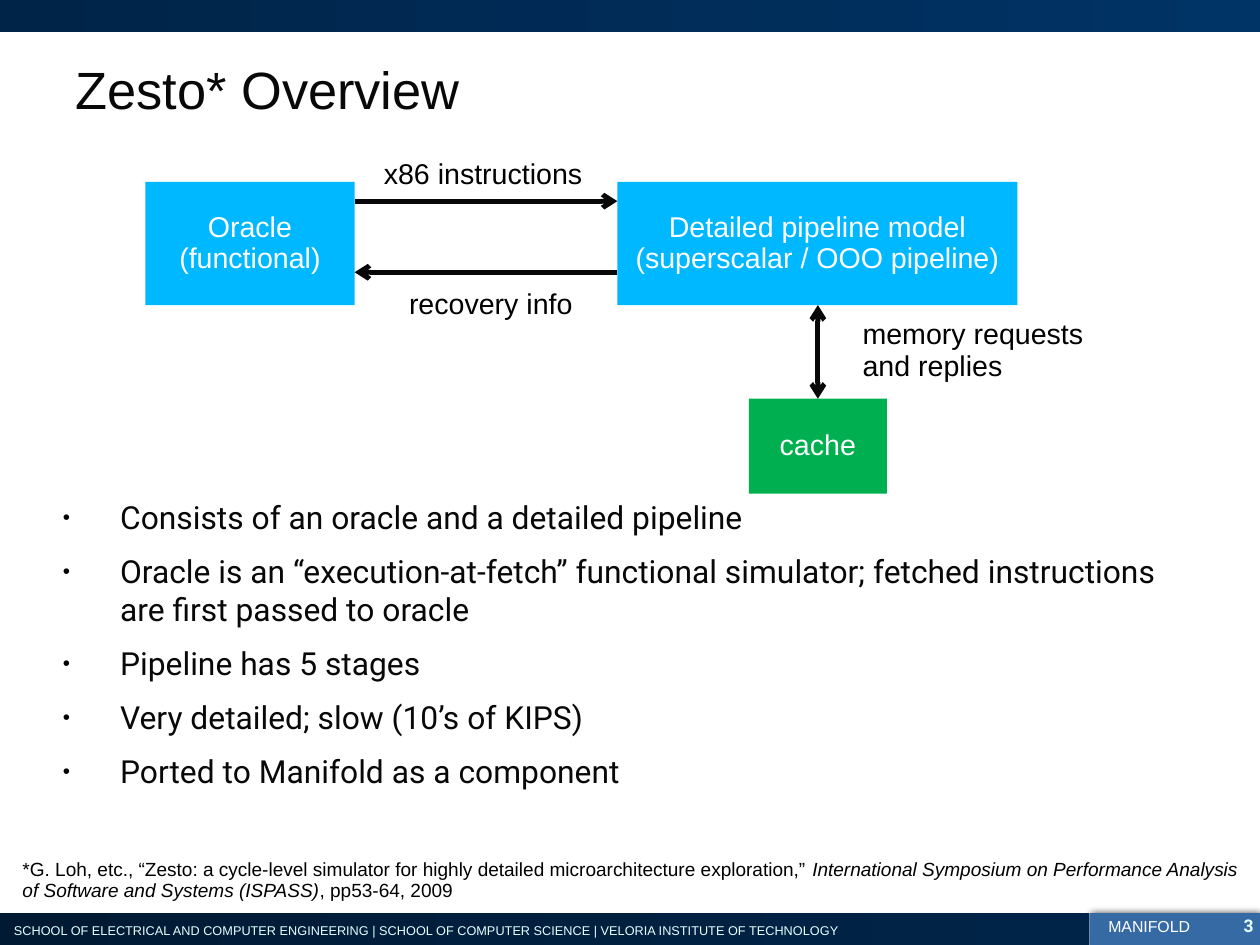
from lxml.etree import SubElement
from pptx import Presentation
from pptx.dml.color import RGBColor
from pptx.enum.shapes import MSO_CONNECTOR, MSO_SHAPE
from pptx.enum.text import MSO_ANCHOR, PP_ALIGN
from pptx.oxml.ns import qn
from pptx.util import Cm, Pt

# Content
TITLE = "Zesto* Overview"
BULLETS = [
    "Consists of an oracle and a detailed pipeline",
    "Oracle is an “execution-at-fetch” functional simulator; fetched instructions are first passed to oracle",
    "Pipeline has 5 stages",
    "Very detailed; slow (10’s of KIPS)",
    "Ported to Manifold as a component",
]
CITATION = [
    ("*G. Loh, etc., “Zesto: a cycle-level simulator for highly detailed microarchitecture exploration,” ", False),
    ("International Symposium on Performance Analysis of Software and Systems (ISPASS)", True),
    (", pp53-64, 2009", False),
]
FOOTER = ("SCHOOL OF ELECTRICAL AND COMPUTER ENGINEERING | SCHOOL OF COMPUTER SCIENCE | "
          "VELORIA INSTITUTE OF TECHNOLOGY")
PROJECT = "MANIFOLD"
PAGE = "3"
COLORS = {
    "ink": "080808", "black": "000000", "white": "FFFFFF", "pale": "E5FFFF",
    "model": "00B8FF", "cache": "00B050", "tab": "366AA4",
    "night": "001A34", "navy": "002448", "blue": "003366",
}

# Geometry in cm: left, top, width, height
WIDTH, HEIGHT, BAR, TAB_LEFT = 28, 21, 0.71, 24.21
ORACLE = (3.23, 4.04, 4.65, 2.74)
PIPELINE = (13.72, 4.04, 8.89, 2.74)
CACHE = (16.64, 8.86, 3.07, 2.11)
BLOCKS = [
    (["Oracle", "(functional)"], ORACLE, "model"),
    (["Detailed pipeline model", "(superscalar / OOO pipeline)"], PIPELINE, "model"),
    (["cache"], CACHE, "cache"),
]
LABELS = [
    (["x86 instructions"], (8.28, 3.4, 5.28, 0.97)),
    (["recovery info"], (8.84, 6.3, 4.5, 0.97)),
    (["memory requests", "and replies"], (18.92, 6.96, 5.8, 1.68)),
]
oracle_right = ORACLE[0] + ORACLE[2]
pipeline_bottom = PIPELINE[1] + PIPELINE[3]
cache_middle = CACHE[0] + CACHE[2] / 2
ARROWS = [  # start, end, line ends that carry a head
    ((oracle_right, 4.47), (PIPELINE[0], 4.47), ["tailEnd"]),
    ((PIPELINE[0], 6.05), (oracle_right, 6.05), ["tailEnd"]),
    ((cache_middle, pipeline_bottom), (cache_middle, CACHE[1]), ["headEnd", "tailEnd"]),
]
WIDE_MARGINS = (0.28, 0.15, 0.28, 0.15)
MARGINS = (0.25, 0.13, 0.25, 0.13)


def color(name):
    return RGBColor.from_string(COLORS[name])


def set_values(target, **values):
    for name, value in values.items():
        setattr(target, name, value)


def place(shape, box):
    set_values(shape, **dict(zip(("left", "top", "width", "height"), map(Cm, box))))


def write(shape, paragraphs, size, ink, font="Arial", margins=MARGINS, anchor=MSO_ANCHOR.TOP,
          bold=False, **paragraph_values):
    """Each paragraph is a list of (text, italic) runs."""
    frame = shape.text_frame
    sides = ("margin_left", "margin_top", "margin_right", "margin_bottom")
    set_values(frame, word_wrap=True, vertical_anchor=anchor, **dict(zip(sides, map(Cm, margins))))
    for index, runs in enumerate(paragraphs):
        paragraph = frame.add_paragraph() if index else frame.paragraphs[0]
        set_values(paragraph, **paragraph_values)
        for text, italic in runs:
            run = paragraph.add_run()
            run.text = text
            set_values(run.font, name=font, size=Pt(size), bold=bold, italic=italic)
            run.font.color.rgb = color(ink)


def plain(lines):
    return [[(line, False)] for line in lines]


def add_text(slide, box, paragraphs, size, ink, **values):
    shape = slide.shapes.add_textbox(*map(Cm, box))
    write(shape, paragraphs, size, ink, **values)
    return shape


def add_box(slide, box, *fills):
    shape = slide.shapes.add_shape(MSO_SHAPE.RECTANGLE, *map(Cm, box))
    shape.shadow.inherit = False
    shape.line.fill.background()
    if len(fills) == 1:
        shape.fill.solid()
        shape.fill.fore_color.rgb = color(fills[0])
    else:
        shape.fill.gradient()
        shape.fill.gradient_angle = 0
        for stop, name in zip(shape.fill.gradient_stops, fills):
            stop.color.rgb = color(name)
    return shape


def add_shadow(shape):
    effects = shape._element.spPr.find(qn("a:effectLst"))
    shadow = SubElement(effects, qn("a:outerShdw"), blurRad=str(Pt(5)), dist=str(Pt(1)), dir="0")
    tone = SubElement(shadow, qn("a:srgbClr"), val=COLORS["black"])
    SubElement(tone, qn("a:alpha"), val="75000")


def add_arrow(slide, start, end, heads):
    arrow = slide.shapes.add_connector(MSO_CONNECTOR.STRAIGHT, *map(Cm, start + end))
    arrow.line.width = Pt(3)
    arrow.line.color.rgb = color("ink")
    for head in heads:
        SubElement(arrow.line._ln, qn("a:" + head), type="arrow")
    SubElement(arrow._element.spPr, qn("a:effectLst"))


def add_bullet(paragraph):
    properties = paragraph._p.get_or_add_pPr()
    properties.set("marL", str(Cm(1.27)))
    properties.set("indent", str(-Cm(1.27)))
    SubElement(SubElement(properties, qn("a:buClr")), qn("a:srgbClr"), val=COLORS["black"])
    SubElement(properties, qn("a:buSzPct"), val="65000")
    SubElement(properties, qn("a:buFont"), typeface="Arial")
    SubElement(properties, qn("a:buChar"), char="•")


def main():
    presentation = Presentation()
    set_values(presentation, slide_width=Cm(WIDTH), slide_height=Cm(HEIGHT))
    slide = presentation.slides.add_slide(presentation.slide_layouts[5])

    # Header and footer bars
    footer_top = HEIGHT - BAR
    add_shadow(add_box(slide, (TAB_LEFT, footer_top, WIDTH - TAB_LEFT, BAR), "tab"))
    add_box(slide, (0, footer_top, TAB_LEFT, BAR), "night", "navy")
    add_box(slide, (0, 0, WIDTH, BAR), "navy", "blue")
    add_text(slide, (0.03, 20.35, 20, 0.64), plain([FOOTER]), 8, "pale", margins=WIDE_MARGINS)
    add_text(slide, (24.38, 20.27, 2.5, 0.66), plain([PROJECT]), 10, "white", line_spacing=0.93)
    add_text(slide, (26.77, 20.19, 1.09, 0.66), plain([PAGE]), 11, "pale", font="Roboto",
             margins=(0, 0.15, 0, 0.15), bold=True, alignment=PP_ALIGN.RIGHT)

    # Title
    title = slide.shapes.title
    place(title, (1.4, 0.84, 25.2, 2.26))
    write(title, plain([TITLE]), 33, "ink", margins=WIDE_MARGINS, anchor=MSO_ANCHOR.MIDDLE,
          alignment=PP_ALIGN.LEFT)

    # Bullets and citation
    body = add_text(slide, (1.12, 10.92, 25.2, 5.92), plain(BULLETS), 20, "ink", font="Roboto",
                    margins=WIDE_MARGINS, space_before=Pt(4), space_after=Pt(6))
    for paragraph in body.text_frame.paragraphs:
        add_bullet(paragraph)
    add_text(slide, (0.25, 18.97, 27.75, 1.22), [CITATION], 12, "black", line_spacing=0.93)

    # Diagram
    for lines, box, fill in BLOCKS:
        write(add_box(slide, box, fill), plain(lines), 18, "white", anchor=MSO_ANCHOR.MIDDLE,
              alignment=PP_ALIGN.CENTER, line_spacing=0.93)
    for start, end, heads in ARROWS:
        add_arrow(slide, start, end, heads)
    for lines, box in LABELS:
        add_text(slide, box, plain(lines), 18, "black", line_spacing=0.93)

    presentation.save("out.pptx")


if __name__ == "__main__":
    main()
